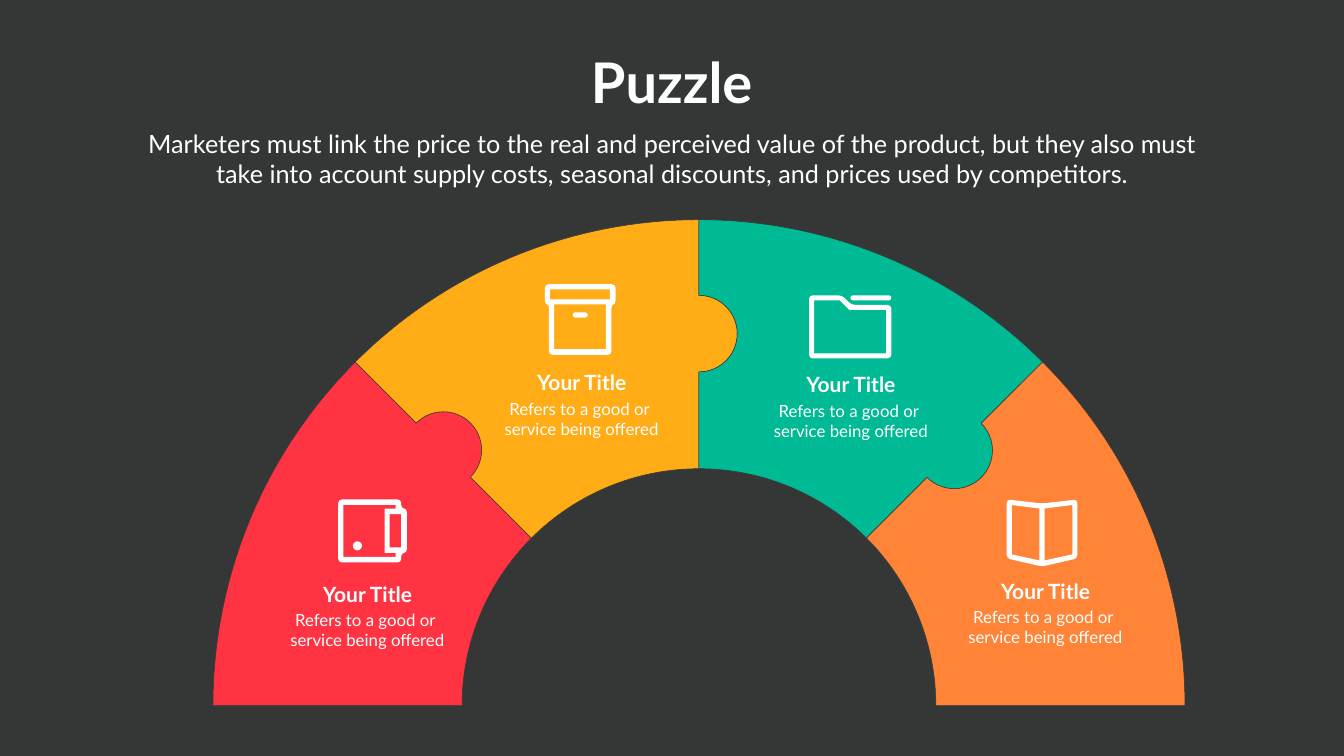
import math
from dataclasses import dataclass

from lxml import etree
from pptx import Presentation
from pptx.dml.color import RGBColor
from pptx.enum import shapes, text
from pptx.oxml import ns
from pptx.util import Pt

PX = 9144  # EMU per px, 100 px to the inch


@dataclass(frozen=True)
class Theme:
    font: str = "Lato"
    background: str = "353737"
    heading: str = "FEFFFF"
    white: str = "FFFFFF"
    pieces: tuple = ("FF3342", "FFAC17", "00B995", "FF8438")  # left to right
    heading_size: int = 80
    intro_size: int = 36
    title_size: int = 30
    detail_size: int = 24
    seam_width: float = 0.75


THEME = Theme()


def paint(shape, colour, line=None):
    shape.shadow.inherit = False
    shape.fill.solid()
    shape.fill.fore_color.rgb = RGBColor.from_string(colour)
    if line:
        shape.line.color.rgb = RGBColor.from_string(line)
        shape.line.width = Pt(THEME.seam_width)
    else:
        shape.line.fill.background()


def add_outline(page, contours, colour, line=None, left=0, top=0):
    """Draw closed contours as one shape; inner contours become holes.

    A contour is a list of steps: one point for a line, three for a curve.
    """
    builder = None
    for contour in contours:
        points = [((left + x) * PX, (top + y) * PX) for step in contour for x, y in step]
        if builder:
            builder.move_to(*points[0])
        else:
            builder = page.shapes.build_freeform(*points[0])
        builder.add_line_segments(points[1:], close=True)
    shape = builder.convert_to_shape()

    # Join the three lines of each curve step into one Bezier segment
    segments = iter(list(shape.element.iter(ns.qn("a:lnTo"))))
    for contour in contours:
        for step in contour[1:]:
            lines = [next(segments) for _ in step]
            if len(step) == 3:
                curve = etree.Element(ns.qn("a:cubicBezTo"))
                lines[0].addprevious(curve)
                for segment in lines:
                    curve.append(segment[0])
                    segment.getparent().remove(segment)
        
    paint(shape, colour, line)


def add_preset(page, kind, left, top, width, height):
    shape = page.shapes.add_shape(kind, left * PX, top * PX, width * PX, height * PX)
    paint(shape, THEME.white)
    return shape


def add_text(owner, box, content, size, colour, bold=False):
    area = owner.shapes.add_textbox(*(length * PX for length in box))
    frame = area.text_frame
    frame.word_wrap = True
    frame.text = content
    for para in frame.paragraphs:
        para.alignment = text.PP_ALIGN.CENTER
        for span in para.runs:
            span.font.name = THEME.font
            span.font.size = Pt(size)
            span.font.bold = bold
            span.font.color.rgb = RGBColor.from_string(colour)


def polar(centre, radius, angle):
    """Point at an angle in degrees, anticlockwise from the right."""
    turn = math.radians(angle)
    return centre[0] + radius * math.cos(turn), centre[1] - radius * math.sin(turn)


def arc(centre, radius, start, end):
    """A line to the start of the arc, then one curve for every 45 degrees."""
    steps = [(polar(centre, radius, start),)]
    turn = math.copysign(45, end - start)
    reach = radius * 4 / 3 * math.tan(math.radians(turn) / 4)
    for index in range(round((end - start) / turn)):
        angle = start + turn * index
        first, last = (polar(centre, radius, a) for a in (angle, angle + turn))
        steps.append((polar(first, reach, angle + 90),
                      polar(last, -reach, angle + turn + 90), last))
    return steps


def polygon(corners):
    return [(corner,) for corner in corners]


def rounded(corners, radius=7):
    """A polygon with each corner replaced by one curve."""
    steps = []
    for index, corner in enumerate(corners):
        ends, controls = [], []
        for other in (corners[index - 1], corners[(index + 1) % len(corners)]):
            length = math.dist(corner, other)
            share = min(radius, length / 2) / length
            for points, part in ((ends, share), (controls, share * 0.45)):
                points.append(tuple(c + (o - c) * part for c, o in zip(corner, other)))
        steps += [(ends[0],), (*controls, ends[1])]
    return steps


def rectangle(left, top, right, bottom):
    return [(left, top), (right, top), (right, bottom), (left, bottom)]


# Puzzle arch: equal sectors joined by round knobs
def add_arch(page, left, top, width, height):
    centre = (left + width / 2, top + height)
    outer, inner, knob = height, 470, 76
    knob_distance = {135: 717, 90: 738, 45: 716}

    def seam(angle, turn):
        """Knob on a seam, run inwards (turn 1) or outwards (turn -1)."""
        if angle not in knob_distance:
            return []
        middle = polar(centre, knob_distance[angle], angle)
        ends = (angle, angle - 180)[::turn]
        return arc(middle, knob, *ends)

    step = 180 // len(THEME.pieces)
    for index, colour in enumerate(THEME.pieces):
        start, end = 180 - step * index, 180 - step * (index + 1)
        outline = (arc(centre, outer, start, end) + seam(end, 1)
                   + arc(centre, inner, end, start) + seam(start, -1))
        add_outline(page, [outline], colour, THEME.background)


# Icons
def add_icon(page, left, top, body, holes):
    contours = [rounded(body)] + [polygon(hole) for hole in holes]
    add_outline(page, contours, THEME.white, left=left, top=top)


def add_bar(page, left, top, width, height):
    bar = add_preset(page, shapes.MSO_SHAPE.ROUNDED_RECTANGLE, left, top, width, height)
    bar.adjustments[0] = 0.5


def add_wallet(page, left, top):
    body = [(0, 0), (125, 0), (125, 18), (136, 18),
            (136, 106), (125, 106), (125, 125), (0, 125)]
    pocket = [(10, 11), (114, 11), (114, 18), (92, 18),
              (92, 106), (114, 106), (114, 114), (10, 114)]
    add_icon(page, left, top, body, [pocket, rectangle(102, 29, 125, 95)])
    add_preset(page, shapes.MSO_SHAPE.OVAL, left + 29, top + 83, 18, 18)


def add_archive(page, left, top):
    body = [(0, 0), (140, 0), (140, 40), (132, 40),
            (132, 140), (8, 140), (8, 40), (0, 40)]
    add_icon(page, left, top, body,
             [rectangle(10, 10, 129, 30), rectangle(18, 40, 121, 129)])
    add_bar(page, left + 55, top + 56, 30, 10)


def add_folder(page, left, top):
    body = [(0, 0), (65, 0), (84, 19), (163, 19), (163, 125), (0, 125)]
    hole = [(10, 10), (61, 10), (80, 29), (153, 29), (153, 115), (10, 115)]
    add_icon(page, left, top, body, [hole])
    add_bar(page, left + 82, top, 81, 10)


def add_book(page, left, top):
    body = [(0, 0), (70, 8), (140, 0), (140, 117), (70, 133), (0, 117)]
    leaf = [(10, 11), (65, 18), (65, 121), (10, 109)]
    add_icon(page, left, top, body, [leaf, [(140 - x, y) for x, y in leaf]])


# Heading and introduction
def add_header(page, left, top, width):
    add_text(page, (left + (width - 355) // 2, top, 355, 145), "Puzzle",
             THEME.heading_size, THEME.heading, bold=True)
    add_text(page, (left, top + 160, width, 131),
             "Marketers must link the price to the real and perceived value of the "
             "product, but they also must take into account supply costs, seasonal "
             "discounts, and prices used by competitors.",
             THEME.intro_size, THEME.heading)


# Title and detail of one piece
def add_label(page, left, top):
    group = page.shapes.add_group_shape()
    add_text(group, (left + 59, top, 224, 71), "Your Title",
             THEME.title_size, THEME.white, bold=True)
    add_text(group, (left, top + 57, 341, 104),
             "Refers to a good or \nservice being offered",
             THEME.detail_size, THEME.white)


def main():
    deck = Presentation()
    deck.slide_width, deck.slide_height = 2666 * PX, 1500 * PX
    page = deck.slides.add_slide(deck.slide_layouts[6])
    page.background.fill.solid()
    page.background.fill.fore_color.rgb = RGBColor.from_string(THEME.background)
    add_arch(page, 423, 436, 1927, 964)
    add_wallet(page, 671, 991)
    add_archive(page, 1081, 564)
    add_folder(page, 1605, 586)
    add_book(page, 1997, 991)
    add_header(page, 268, 90, 2130)
    for left, top in ((558, 1148), (983, 729), (1517, 733), (1903, 1142)):
        add_label(page, left, top)
    deck.save("out.pptx")


if __name__ == "__main__":
    main()
